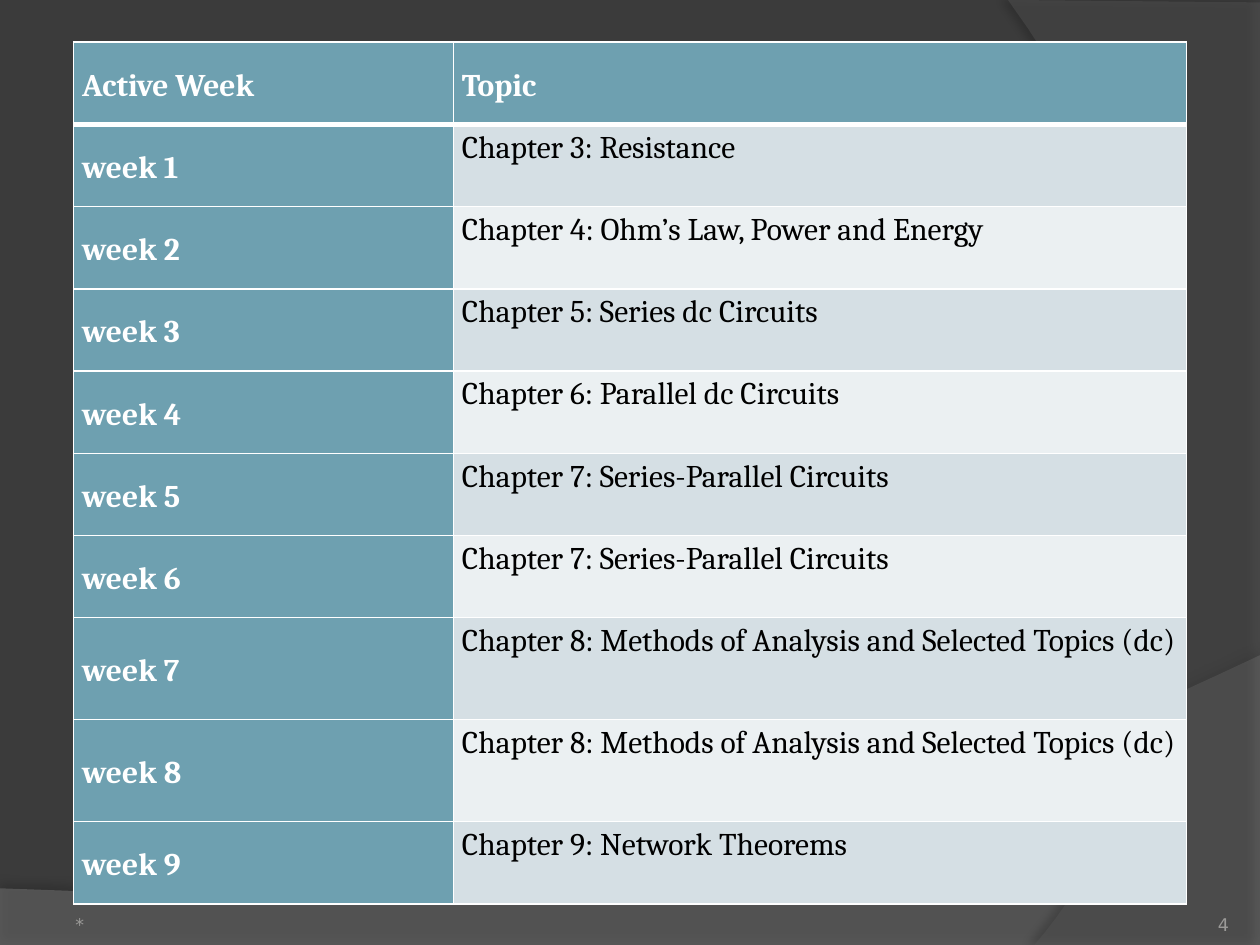
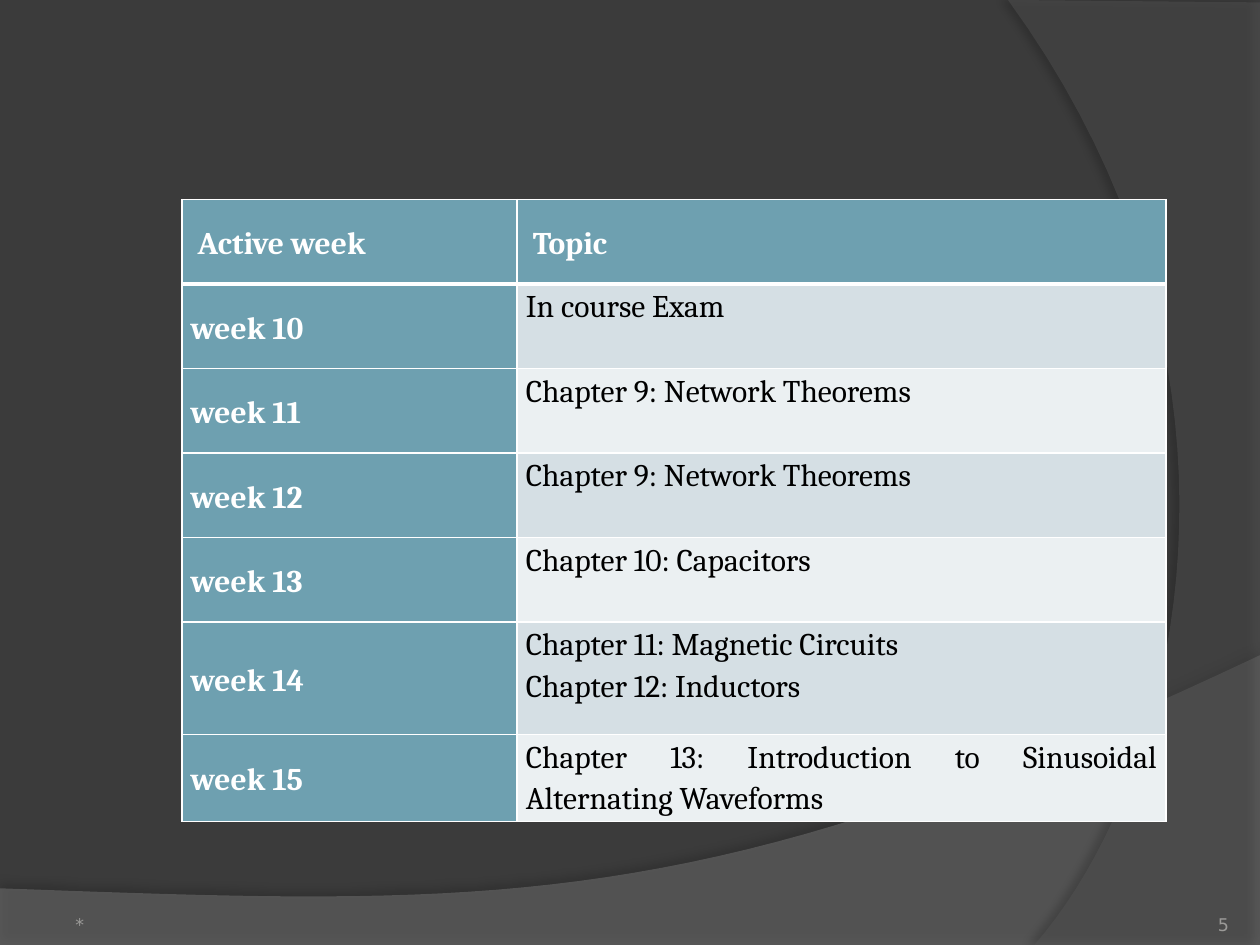
import pptx
import pptx.dml.color
import pptx.enum.text
import pptx.oxml
import pptx.oxml.ns
import pptx.util

Pt = pptx.util.Pt
Align = pptx.enum.text.PP_ALIGN
Anchor = pptx.enum.text.MSO_ANCHOR

BACKGROUND = "3B3B3B"
WHITE = "FFFFFF"
BLACK = "000000"
TEAL = "6EA0B0"
BANDS = ("D5DFE4", "EBF0F2")
FOOTER_GREY = "9B9A98"

FIRST_WEEKS = [
    ("Active Week", "Topic"),
    ("week 1", "Chapter 3: Resistance"),
    ("week 2", "Chapter 4: Ohm’s Law, Power and Energy"),
    ("week 3", "Chapter 5: Series dc Circuits"),
    ("week 4", "Chapter 6: Parallel dc Circuits"),
    ("week 5", "Chapter 7: Series-Parallel Circuits"),
    ("week 6", "Chapter 7: Series-Parallel Circuits"),
    ("week 7", "Chapter 8: Methods of Analysis and Selected Topics (dc)"),
    ("week 8", "Chapter 8: Methods of Analysis and Selected Topics (dc)"),
    ("week 9", "Chapter 9: Network Theorems"),
]
LAST_WEEKS = [
    ("Active week", "Topic"),
    ("week 10", "In course Exam"),
    ("week 11", "Chapter 9: Network Theorems"),
    ("week 12", "Chapter 9: Network Theorems"),
    ("week 13", "Chapter 10: Capacitors"),
    ("week 14", "Chapter 11: Magnetic Circuits\nChapter 12: Inductors"),
    ("week 15", "Chapter 13: Introduction to Sinusoidal Alternating Waveforms"),
]


def color(value):
    return pptx.dml.color.RGBColor.from_string(value)


def element(xml):
    namespace = pptx.oxml.ns.nsdecls("a")
    return pptx.oxml.parse_xml(xml.replace(">", f" {namespace}>", 1))


def bezier(start, control1, control2, end, steps=40):
    for step in range(1, steps + 1):
        t = step / steps
        weights = ((1 - t) ** 3, 3 * t * (1 - t) ** 2, 3 * t * t * (1 - t), t ** 3)
        points = (start, control1, control2, end)
        yield tuple(sum(w * p[axis] for w, p in zip(weights, points)) for axis in (0, 1))


class Deck:
    """Holds the shared style and draws elements on the current slide."""

    def __init__(self):
        self.presentation = pptx.Presentation()
        self.presentation.slide_width = Pt(720)
        self.presentation.slide_height = Pt(540)
        fill = self.presentation.slide_master.background.fill
        fill.solid()
        fill.fore_color.rgb = color(BACKGROUND)
        self.slide = None

    def add_slide(self, number):
        self.slide = self.presentation.slides.add_slide(self.presentation.slide_layouts[6])
        self.add_swoosh([(0, 507.6), (0, 540.7), (720, 540.7), (720, 374.4)],
                        [(402.5, 524.9), (281.5, 517.7), (0, 507.6)],
                        "7C7C7C", 45, shadow=(35, 3.5, 270))
        self.add_swoosh([(720, 1.4), (720, 540), (591.1, 540)],
                        [(673.2, 445.7), (733, 216), (576, 0)],
                        "595959", 40, shadow=(45, 4, 180))
        self.add_footer("*", 36, 168, Align.LEFT, margin=7.2)
        self.add_footer(str(number), 642.2, 60, Align.RIGHT, margin=0)

    def add_swoosh(self, corners, curve, fill_color, opacity, shadow):
        points = corners + list(bezier(corners[-1], *curve))
        outline = [(Pt(x), Pt(y)) for x, y in points]
        builder = self.slide.shapes.build_freeform(*outline[0])
        builder.add_line_segments(outline[1:], close=True)
        shape = builder.convert_to_shape()
        shape.line.fill.background()
        shape.fill.solid()
        shape.fill.fore_color.rgb = color(fill_color)
        shape.fill._xPr.find(".//" + pptx.oxml.ns.qn("a:srgbClr")).append(
            element(f'<a:alpha val="{opacity * 1000}"></a:alpha>'))
        shape.shadow.inherit = False
        strength, distance, direction = shadow
        shape._element.spPr.find(pptx.oxml.ns.qn("a:effectLst")).append(element(
            f'<a:outerShdw blurRad="{Pt(5)}" dist="{Pt(distance)}" dir="{direction * 60000}">'
            f'<a:srgbClr val="{BLACK}"><a:alpha val="{strength * 1000}"/></a:srgbClr>'
            '</a:outerShdw>'))

    def add_footer(self, text, left, width, alignment, margin):
        box = self.slide.shapes.add_textbox(Pt(left), Pt(505.4), Pt(width), Pt(28.8))
        frame = box.text_frame
        frame.word_wrap = True
        frame.vertical_anchor = Anchor.BOTTOM
        frame.margin_left = frame.margin_right = Pt(margin)
        frame.margin_top = frame.margin_bottom = 0
        frame.text = text
        self.style(frame.paragraphs[0], "DejaVu Sans", 10, FOOTER_GREY, alignment)

    def style(self, paragraph, name, size, text_color, alignment, bold=False):
        paragraph.alignment = alignment
        paragraph.font.name = name
        paragraph.font.size = Pt(size)
        paragraph.font.bold = bold
        paragraph.font.color.rgb = color(text_color)

    def add_schedule(self, weeks, left, top, widths, heights, header_indent=0):
        frame = self.slide.shapes.add_table(
            len(weeks), 2, Pt(left), Pt(top), Pt(sum(widths)), Pt(sum(heights)))
        table = frame.table
        for column, width in zip(table.columns, widths):
            column.width = Pt(width)
        for row, height in zip(table.rows, heights):
            row.height = Pt(height)
        for row_index, texts in enumerate(weeks):
            for column_index, text in enumerate(texts):
                self.fill_cell(table.cell(row_index, column_index), text,
                               row_index, column_index, header_indent)

    def fill_cell(self, cell, text, row_index, column_index, header_indent):
        is_heading = row_index == 0 or column_index == 0
        borders = {"L": 1, "R": 1, "T": 3 if row_index == 1 else 1,
                   "B": 3 if row_index == 0 else 1}
        for side, width in borders.items():
            cell._tc.get_or_add_tcPr().append(element(
                f'<a:ln{side} w="{Pt(width)}"><a:solidFill><a:srgbClr val="{WHITE}"/>'
                f'</a:solidFill></a:ln{side}>'))
        cell.fill.solid()
        cell.fill.fore_color.rgb = color(TEAL if is_heading else BANDS[(row_index - 1) % 2])
        cell.vertical_anchor = Anchor.MIDDLE if is_heading else Anchor.TOP
        cell.margin_left = Pt(5 + (header_indent if row_index == 0 else 0))
        cell.margin_right = Pt(5)
        cell.margin_top = cell.margin_bottom = 0
        cell.text = text
        for paragraph in cell.text_frame.paragraphs:
            paragraph.line_spacing = 1.15
            self.style(paragraph, "Cambria", 18, WHITE if is_heading else BLACK,
                       Align.JUSTIFY, bold=is_heading)


def main():
    deck = Deck()
    deck.add_slide(4)
    deck.add_schedule(FIRST_WEEKS, 42, 24, (217, 419),
                      [47] * 7 + [58.3] * 2 + [47])
    deck.add_slide(5)
    deck.add_schedule(LAST_WEEKS, 104, 114, (191.5, 370.7),
                      [48.3] * 5 + [64.3, 49.4], header_indent=4)
    deck.presentation.save("out.pptx")


if __name__ == "__main__":
    main()
